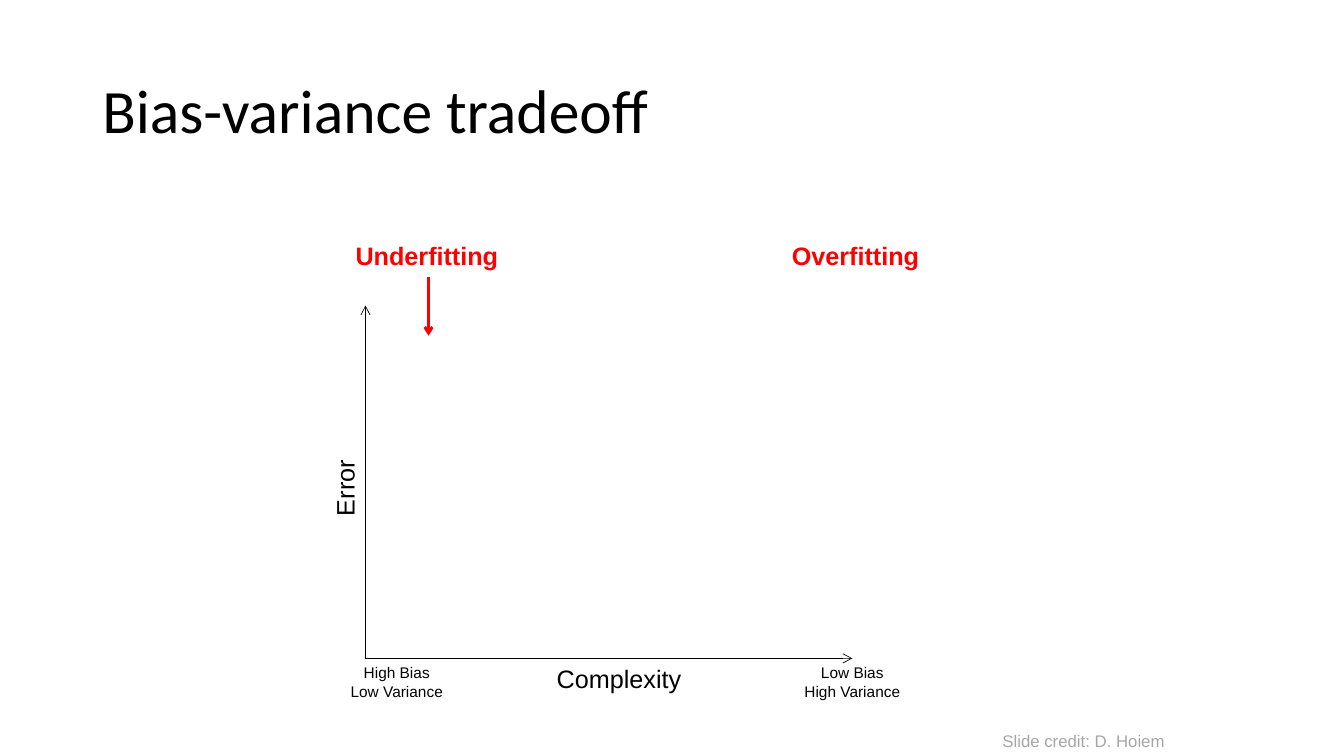
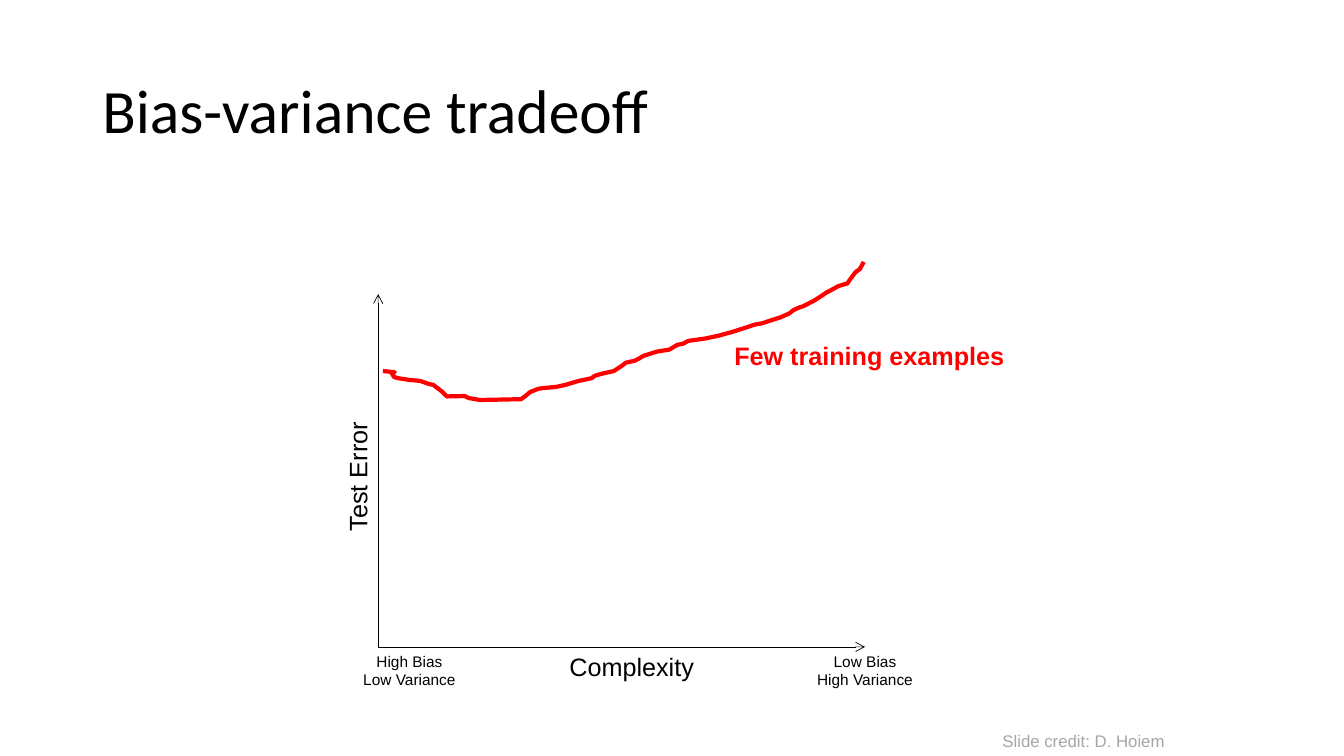
from dataclasses import dataclass

from lxml import etree
from pptx import Presentation
from pptx import util as u
from pptx.dml.color import RGBColor
from pptx.enum import shapes, text
from pptx.oxml import ns


@dataclass(frozen=True)
class Theme:
    black: str = "000000"
    red: str = "FF0000"
    grey: str = "A6A6A6"
    title_font: str = "Calibri"
    body_font: str = "Arial"
    title_size: float = 44
    label_size: float = 18
    credit_size: float = 12
    corner_size: float = 11
    axis_width: float = 0.5
    arrow_width: float = 2
    curve_width: float = 3


THEME = Theme()


@dataclass(frozen=True)
class Label:
    """Text centred on centre_x; lengths are in centimetres."""
    content: str
    centre_x: float
    top: float
    width: float
    height: float = 1.02
    size: float = THEME.label_size
    colour: str = THEME.black
    bold: bool = False
    rotation: float = 0


@dataclass(frozen=True)
class Axes:
    """Axis pair with its labels, placed from the origin in centimetres."""
    origin_x: float
    origin_y: float
    error_text: str
    error_width: float
    length: float = 12.27
    height: float = 8.89


@dataclass(frozen=True)
class Arrow:
    start: tuple[float, float]
    end: tuple[float, float]
    colour: str
    width: float


TITLE = "Bias-variance tradeoff"
CREDIT = Label("Slide credit: D. Hoiem", 27.31, 18.29, 4.62, 0.76,
               THEME.credit_size, THEME.grey)
FITTING_LABELS = [
    Label("Underfitting", 10.76, 5.92, 4.14, colour=THEME.red, bold=True),
    Label("Overfitting", 21.56, 5.92, 3.76, colour=THEME.red, bold=True),
]
UNDERFITTING_ARROW = Arrow((10.8, 6.99), (10.8, 8.46), THEME.red, THEME.arrow_width)
FEW_EXAMPLES = Label("Few training examples", 21.91, 8.46, 7.39,
                     colour=THEME.red, bold=True)
FEW_EXAMPLES_CURVE = [
    (9.65, 9.35), (9.95, 9.38), (9.87, 9.4), (9.93, 9.5), (10.03, 9.53),
    (10.29, 9.57), (10.59, 9.6), (10.82, 9.68), (10.92, 9.7), (11.13, 9.86),
    (11.26, 9.99), (11.71, 9.98), (11.81, 10.03), (12.09, 10.08), (13.13, 10.06),
    (13.23, 9.99), (13.36, 9.88), (13.56, 9.8), (13.69, 9.78), (14.02, 9.75),
    (14.25, 9.7), (14.58, 9.6), (14.68, 9.58), (14.91, 9.53), (14.99, 9.47),
    (15.16, 9.42), (15.47, 9.35), (15.67, 9.22), (15.77, 9.14), (16, 9.09),
    (16.1, 9.04), (16.21, 8.97), (16.56, 8.86), (16.87, 8.81), (17.07, 8.69),
    (17.22, 8.66), (17.35, 8.59), (17.78, 8.53), (18.11, 8.46), (18.47, 8.36),
    (18.72, 8.28), (19.02, 8.18), (19.2, 8.15), (19.41, 8.08), (19.66, 8),
    (19.89, 7.9), (19.99, 7.82), (20.14, 7.75), (20.24, 7.72), (20.51, 7.58),
    (20.73, 7.44), (20.83, 7.37), (20.93, 7.32), (21.13, 7.21), (21.36, 7.14),
    (21.41, 7.06), (21.56, 6.86), (21.67, 6.78), (21.77, 6.6),
]


def style_font(font, name: str, size: float, colour: str, bold: bool = False) -> None:
    font.name = name
    font.size = u.Pt(size)
    font.bold = bold
    font.color.rgb = RGBColor.from_string(colour)


def add_title(page) -> None:
    box = page.shapes.add_textbox(u.Cm(2.33), u.Cm(1.01), u.Cm(29.21), u.Cm(3.68))
    frame = box.text_frame
    frame.word_wrap = True
    frame.vertical_anchor = text.MSO_ANCHOR.MIDDLE
    frame.text = TITLE
    para = frame.paragraphs[0]
    para.line_spacing = 0.9
    style_font(para.runs[0].font, THEME.title_font, THEME.title_size, THEME.black)


def add_label(page, label: Label) -> None:
    box = page.shapes.add_textbox(
        u.Cm(label.centre_x - label.width / 2), u.Cm(label.top),
        u.Cm(label.width), u.Cm(label.height))
    box.rotation = label.rotation
    frame = box.text_frame
    frame.word_wrap = False
    frame.text = label.content
    for para in frame.paragraphs:
        para.alignment = text.PP_ALIGN.CENTER
        for span in para.runs:
            style_font(span.font, THEME.body_font, label.size, label.colour, label.bold)


def add_arrow(page, arrow: Arrow) -> None:
    connector = page.shapes.add_connector(
        shapes.MSO_CONNECTOR.STRAIGHT,
        *(u.Cm(length) for length in arrow.start + arrow.end))
    connector.line.color.rgb = RGBColor.from_string(arrow.colour)
    connector.line.width = u.Pt(arrow.width)
    etree.SubElement(connector.line._get_or_add_ln(), ns.qn("a:tailEnd"), type="arrow")
    etree.SubElement(connector._element.spPr, ns.qn("a:effectLst"))


def add_curve(page, points: list[tuple[float, float]], colour: str) -> None:
    start, *rest = [(u.Cm(x), u.Cm(y)) for x, y in points]
    builder = page.shapes.build_freeform(*start)
    builder.add_line_segments(rest, close=False)
    curve = builder.convert_to_shape()
    curve.shadow.inherit = False
    curve.fill.background()
    curve.line.color.rgb = RGBColor.from_string(colour)
    curve.line.width = u.Pt(THEME.curve_width)


def add_axes(page, axes: Axes) -> None:
    x, y = axes.origin_x, axes.origin_y
    for end in ((x, y - axes.height), (x + axes.length, y)):
        add_arrow(page, Arrow((x, y), end, THEME.black, THEME.axis_width))
    corner = {"height": 1.19, "size": THEME.corner_size}
    for label in (
        Label("Complexity", x + 6.39, y, 3.68),
        Label("Low Bias\nHigh Variance", x + axes.length, y, 2.97, **corner),
        Label("High Bias\nLow Variance", x + 0.79, y, 2.9, **corner),
        Label(axes.error_text, x - 0.52, y - 4.8, axes.error_width, rotation=270),
    ):
        add_label(page, label)


def add_page(deck, axes: Axes):
    """Add a slide with the shared title, axes and credit."""
    page = deck.slides.add_slide(deck.slide_layouts[6])
    add_title(page)
    add_axes(page, axes)
    add_label(page, CREDIT)
    return page


def main() -> None:
    deck = Presentation()
    deck.slide_width, deck.slide_height = u.Cm(33.87), u.Cm(19.05)

    fitting = add_page(deck, Axes(9.21, 16.59, "Error", 1.93))
    for label in FITTING_LABELS:
        add_label(fitting, label)
    add_arrow(fitting, UNDERFITTING_ARROW)

    training_size = add_page(deck, Axes(9.53, 16.3, "Test Error", 3.3))
    add_curve(training_size, FEW_EXAMPLES_CURVE, THEME.red)
    add_label(training_size, FEW_EXAMPLES)

    deck.save("out.pptx")


if __name__ == "__main__":
    main()
